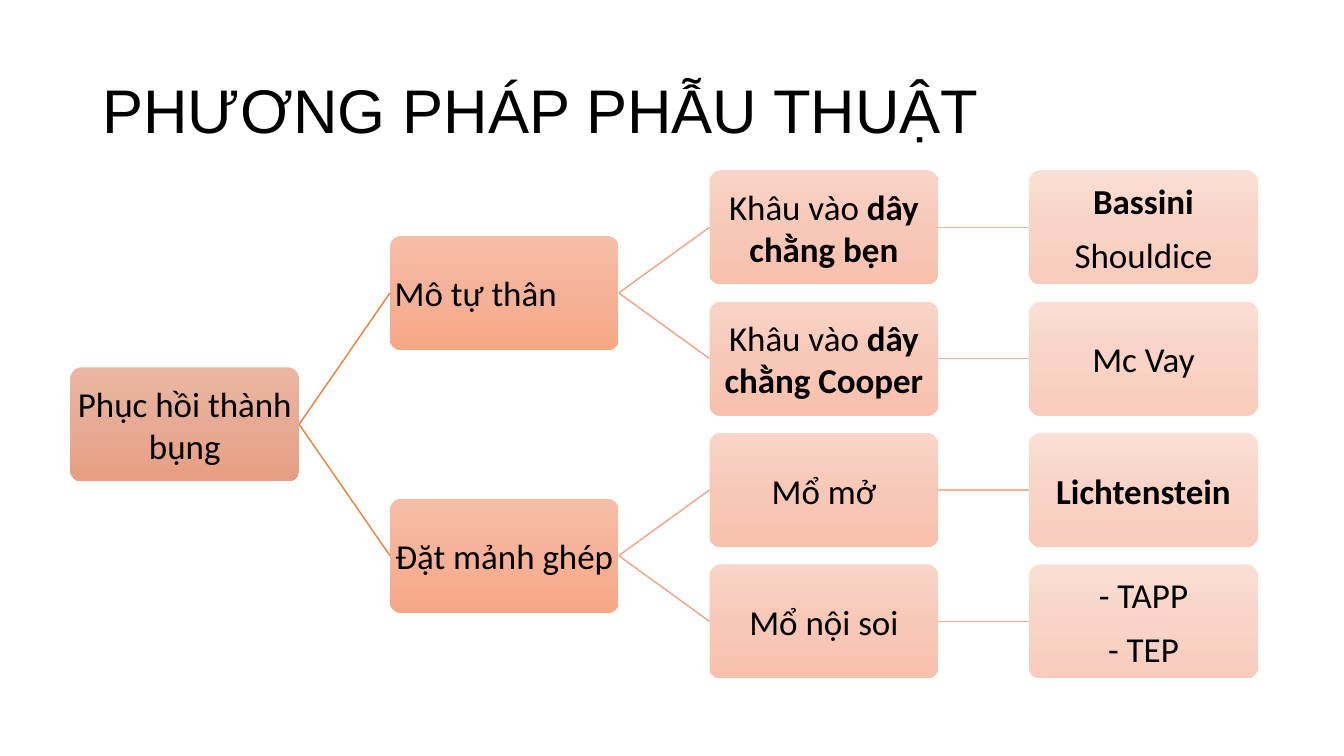
import copy

import pptx
import pptx.dml.color
import pptx.enum.shapes
import pptx.enum.text
import pptx.oxml
import pptx.oxml.ns
import pptx.util

Pt = pptx.util.Pt
RGB = pptx.dml.color.RGBColor
PP_ALIGN = pptx.enum.text.PP_ALIGN
ANCHOR = pptx.enum.text.MSO_ANCHOR

BLACK = RGB(0x00, 0x00, 0x00)
LEVEL_FILLS = [
    (RGB(0xEA, 0xB7, 0xA3), RGB(0xE6, 0xAB, 0x95), RGB(0xE7, 0x9E, 0x81)),
    (RGB(0xF7, 0xBE, 0xA7), RGB(0xF5, 0xB2, 0x98), RGB(0xF8, 0xA7, 0x85)),
    (RGB(0xF9, 0xD4, 0xC8), RGB(0xF7, 0xC8, 0xB8), RGB(0xF8, 0xC0, 0xAD)),
    (RGB(0xFB, 0xDF, 0xD5), RGB(0xF8, 0xD3, 0xC6), RGB(0xF9, 0xCC, 0xBD)),
]
BRANCH_COLORS = [RGB(0xED, 0x7F, 0x39), RGB(0xF1, 0xA3, 0x83), RGB(0xF3, 0xB2, 0x9A)]

NODE_W, NODE_H = 163.4, 81.5


def node(paragraphs, *children, align=PP_ALIGN.CENTER):
    return {"paragraphs": paragraphs, "children": children, "align": align}


TREE = node(
    [[("Phục hồi thành bụng", False)]],
    node(
        [[("Mô tự thân", False)]],
        node([[("Khâu vào ", False), ("dây chằng bẹn", True)]],
             node([[("Bassini", True)], [("Shouldice", False)]])),
        node([[("Khâu vào ", False), ("dây chằng Cooper", True)]],
             node([[("Mc Vay", False)]])),
        align=PP_ALIGN.LEFT,
    ),
    node(
        [[("Đặt mảnh ghép", False)]],
        node([[("Mổ mở", False)]], node([[("Lichtenstein", True)]])),
        node([[("Mổ nội soi", False)]],
             node([[("- TAPP", False)], [("- TEP", False)]])),
    ),
)


def add_run(p, text, font, size, bold=False):
    r = p.add_run()
    r.text = text
    r.font.name = font
    r.font.size = Pt(size)
    r.font.bold = bold
    r.font.color.rgb = BLACK


def add_title(s, x, y, w, h):
    tf = s.shapes.add_textbox(Pt(x), Pt(y), Pt(w), Pt(h)).text_frame
    tf.word_wrap = True
    tf.vertical_anchor = ANCHOR.MIDDLE
    p = tf.paragraphs[0]
    p.line_spacing = 0.9
    add_run(p, "PHƯƠNG PHÁP PHẪU THUẬT", "Arial", 44)


def fill_gradient(sp, colors):
    sp.fill.gradient()
    sp.fill.gradient_angle = 270
    stop_list = sp.element.spPr.find(".//" + pptx.oxml.ns.qn("a:gsLst"))
    stop_list.insert(1, copy.deepcopy(stop_list[0]))
    for i, (stop, color) in enumerate(zip(sp.fill.gradient_stops, colors)):
        stop.position = i / 2
        stop.color.rgb = color


def add_node(s, item, level, x, y):
    sp = s.shapes.add_shape(pptx.enum.shapes.MSO_SHAPE.ROUNDED_RECTANGLE,
                            Pt(x), Pt(y), Pt(NODE_W), Pt(NODE_H))
    sp.adjustments[0] = 0.1
    sp.shadow.inherit = False
    sp.line.fill.background()
    fill_gradient(sp, LEVEL_FILLS[level])
    tf = sp.text_frame
    tf.word_wrap = True
    tf.vertical_anchor = ANCHOR.MIDDLE
    tf.margin_left = tf.margin_right = Pt(1)
    tf.margin_top = tf.margin_bottom = Pt(1)
    for i, runs in enumerate(item["paragraphs"]):
        p = tf.add_paragraph() if i else tf.paragraphs[0]
        p.alignment = item["align"]
        if i:
            p.space_before = Pt(8.75)
        for text, bold in runs:
            add_run(p, text, "Calibri", 25, bold)


def add_branch(s, x1, y1, x2, y2, color):
    line = s.shapes.add_connector(pptx.enum.shapes.MSO_CONNECTOR.STRAIGHT,
                                  Pt(x1), Pt(y1), Pt(x2), Pt(y2))
    line.line.color.rgb = color
    line.line.width = Pt(1)
    line.element.spPr.append(pptx.oxml.parse_xml(
        "<a:effectLst %s/>" % pptx.oxml.ns.nsdecls("a")))


def count_leaves(item):
    return sum(map(count_leaves, item["children"])) or 1


def add_tree(s, item, x, y, w, h, level=0):
    column_step = (w - NODE_W) / (len(LEVEL_FILLS) - 1)
    row_step = (h - NODE_H) / (count_leaves(TREE) - 1)
    rows = count_leaves(item)
    node_x = x + level * column_step
    center = y + (rows - 1) * row_step / 2 + NODE_H / 2
    child_y = y
    for child in item["children"]:
        child_center = add_tree(s, child, x, child_y, w, h, level + 1)
        add_branch(s, node_x + NODE_W, center, node_x + column_step, child_center,
                   BRANCH_COLORS[level])
        child_y += count_leaves(child) * row_step
    add_node(s, item, level, node_x, center - NODE_H / 2)
    return center


def main():
    prs = pptx.Presentation()
    prs.slide_width = Pt(960)
    prs.slide_height = Pt(540)
    s = prs.slides.add_slide(prs.slide_layouts[6])
    add_title(s, 66, 28.75, 828, 104.4)
    add_tree(s, TREE, 50.3, 121.6, 848.2, 363)
    prs.save("out.pptx")


if __name__ == "__main__":
    main()
